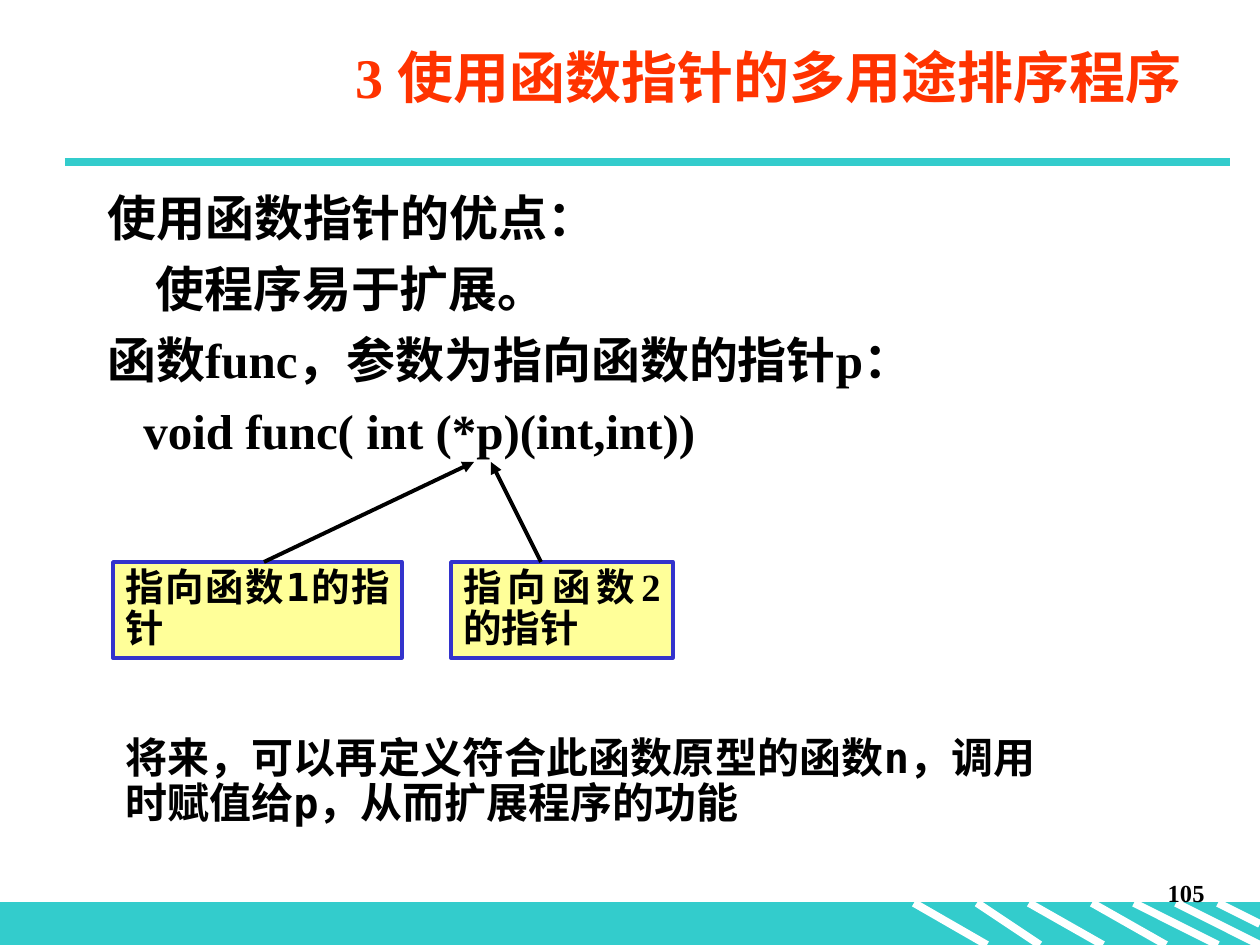
"""Build the slide on sorting with function pointers."""
import pptx
import pptx.util
import pptx.dml.color
import pptx.enum.shapes
import pptx.enum.text
import pptx.oxml
import pptx.oxml.ns

RGB = pptx.dml.color.RGBColor
ALIGN = pptx.enum.text.PP_ALIGN
ANCHOR = pptx.enum.text.MSO_ANCHOR
TEAL = RGB(0x33, 0xCC, 0xCC)
WHITE = RGB(0xFF, 0xFF, 0xFF)
BLACK = RGB(0, 0, 0)
RED = RGB(0xFF, 0x33, 0)
BLUE = RGB(0x33, 0x33, 0xCC)
CREAM = RGB(0xFF, 0xFF, 0x99)
SERIF = "Times New Roman"
MONO = "DejaVu Sans Mono"
SCALE = 914400 // 126

TITLE = "3 使用函数指针的多用途排序程序"
BODY = [
    ("使用函数指针的优点：", 0),
    ("使程序易于扩展。", 48),
    ("函数func，参数为指向函数的指针p：", 0),
    ("void func( int (*p)(int,int))", 36),
]
BOXES = [
    ("指向函数1的指针", MONO, 113, 289),
    ("指向函数2的指针", SERIF, 451, 222),
]
CLOSE = "将来，可以再定义符合此函数原型的函数n，调用时赋值给p，从而扩展程序的功能"
PAGE = "105"
BAND = (0, 903, 1260, 42)
STRIPES = [
    (977, 1040, 945), (914, 987, 945), (1029, 1103, 945), (1176, 1260, 945),
    (1134, 1218, 945), (1218, 1260, 924), (1092, 1166, 945),
]
ARROWS = [(264, 562, 474, 462), (541, 562, 491, 462)]


def px(num):
    return pptx.util.Emu(num * SCALE)


def line(slide, ends, color, width, arrow=False):
    link = slide.shapes.add_connector(
        pptx.enum.shapes.MSO_CONNECTOR.STRAIGHT, *map(px, ends))
    link.line.color.rgb = color
    link.line.width = pptx.util.Pt(width)
    if arrow:
        tail = pptx.oxml.parse_xml(
            f'<a:tailEnd {pptx.oxml.ns.nsdecls("a")} type="triangle"/>')
        link.line._get_or_add_ln().append(tail)
    props = link._element.spPr
    props.append(pptx.oxml.parse_xml(
        f'<a:effectLst {pptx.oxml.ns.nsdecls("a")}/>'))


def rect(slide, area, fill, edge, width):
    shape = slide.shapes.add_shape(
        pptx.enum.shapes.MSO_SHAPE.RECTANGLE, *map(px, area))
    shape.shadow.inherit = False
    shape.fill.solid()
    shape.fill.fore_color.rgb = fill
    shape.line.color.rgb = edge
    shape.line.width = pptx.util.Pt(width)
    return shape


def write(shape, rows, size, font=SERIF, color=BLACK, align=ALIGN.LEFT,
          anchor=ANCHOR.TOP, gap=0, space=None):
    frame = shape.text_frame
    frame.word_wrap = True
    frame.vertical_anchor = anchor
    for i, (text, left) in enumerate(rows):
        para = frame.add_paragraph() if i else frame.paragraphs[0]
        para.alignment = align
        para.line_spacing = space
        if i:
            para.space_before = pptx.util.Pt(gap)
        if left:
            para._p.get_or_add_pPr().set("marL", str(px(left)))
        run = para.add_run()
        run.text = text
        run.font.name = font
        run.font.size = pptx.util.Pt(size)
        run.font.bold = True
        run.font.color.rgb = color


def label(slide, area, rows, size, **style):
    write(slide.shapes.add_textbox(*map(px, area)), rows, size, **style)


def main():
    deck = pptx.Presentation()
    deck.slide_width, deck.slide_height = px(1260), px(945)
    slide = deck.slides.add_slide(deck.slide_layouts[6])

    rect(slide, BAND, TEAL, TEAL, 0.75)
    for left, right, low in STRIPES:
        line(slide, (left, BAND[1], right, low), WHITE, 4.5)
    line(slide, (65, 162, 1230, 162), TEAL, 4.5)

    label(slide, (955, 872, 262, 63), [(PAGE, 0)], 14, align=ALIGN.RIGHT)
    label(slide, (95, 181, 1071, 635), BODY, 28, gap=7)
    for text, font, left, width in BOXES:
        box = rect(slide, (left, 562, width, 96), CREAM, BLUE, 2)
        write(box, [(text, 0)], 22, font=font, align=ALIGN.JUSTIFY, space=0.9)
    for ends in ARROWS:
        line(slide, ends, BLACK, 2.25, arrow=True)
    label(slide, (113, 731, 935, 103), [(CLOSE, 0)], 24, font=MONO,
          align=ALIGN.JUSTIFY, space=0.9)
    label(slide, (343, 0, 917, 152), [(TITLE, 0)], 32, color=RED,
          anchor=ANCHOR.MIDDLE)
    deck.save("out.pptx")


if __name__ == "__main__":
    main()
